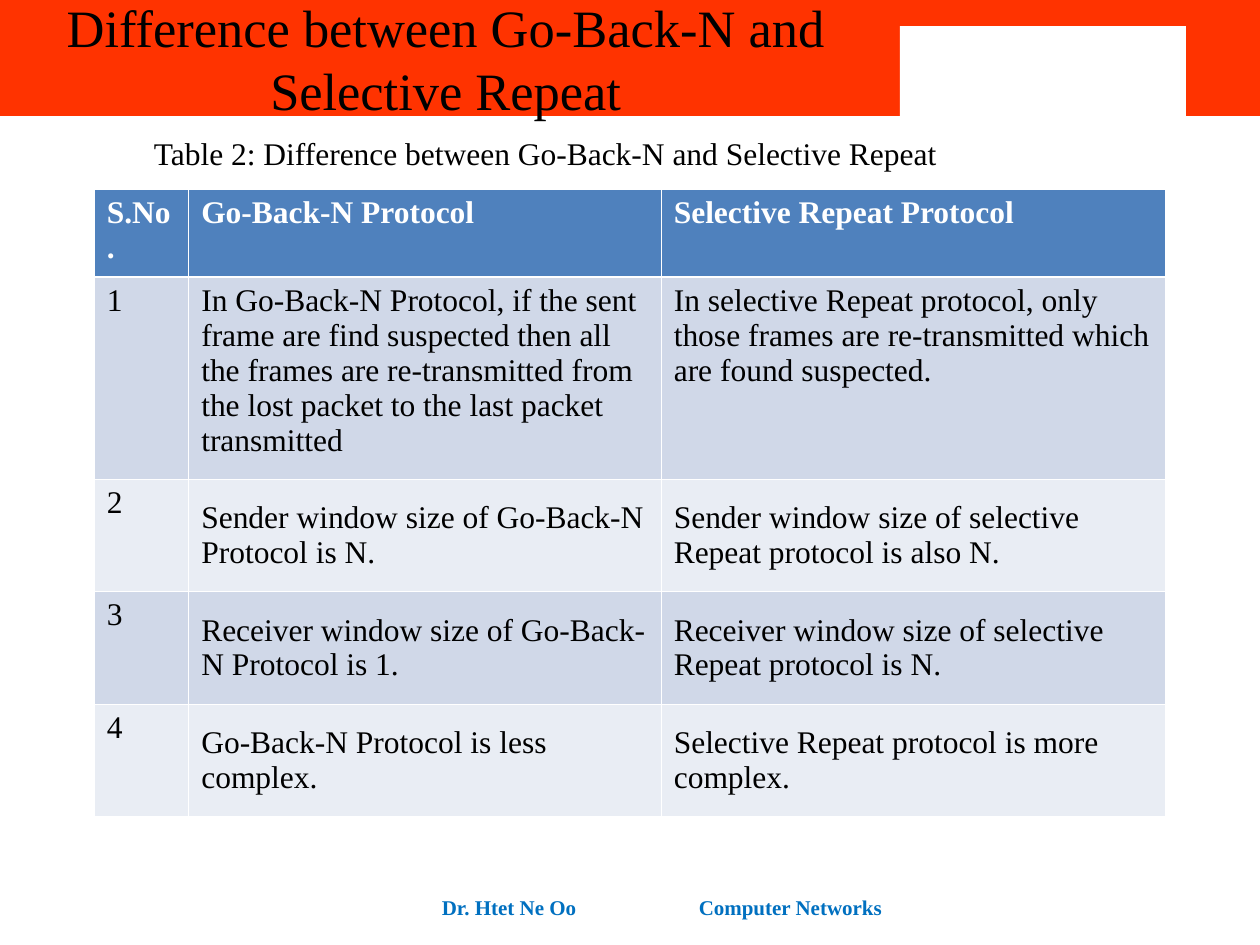
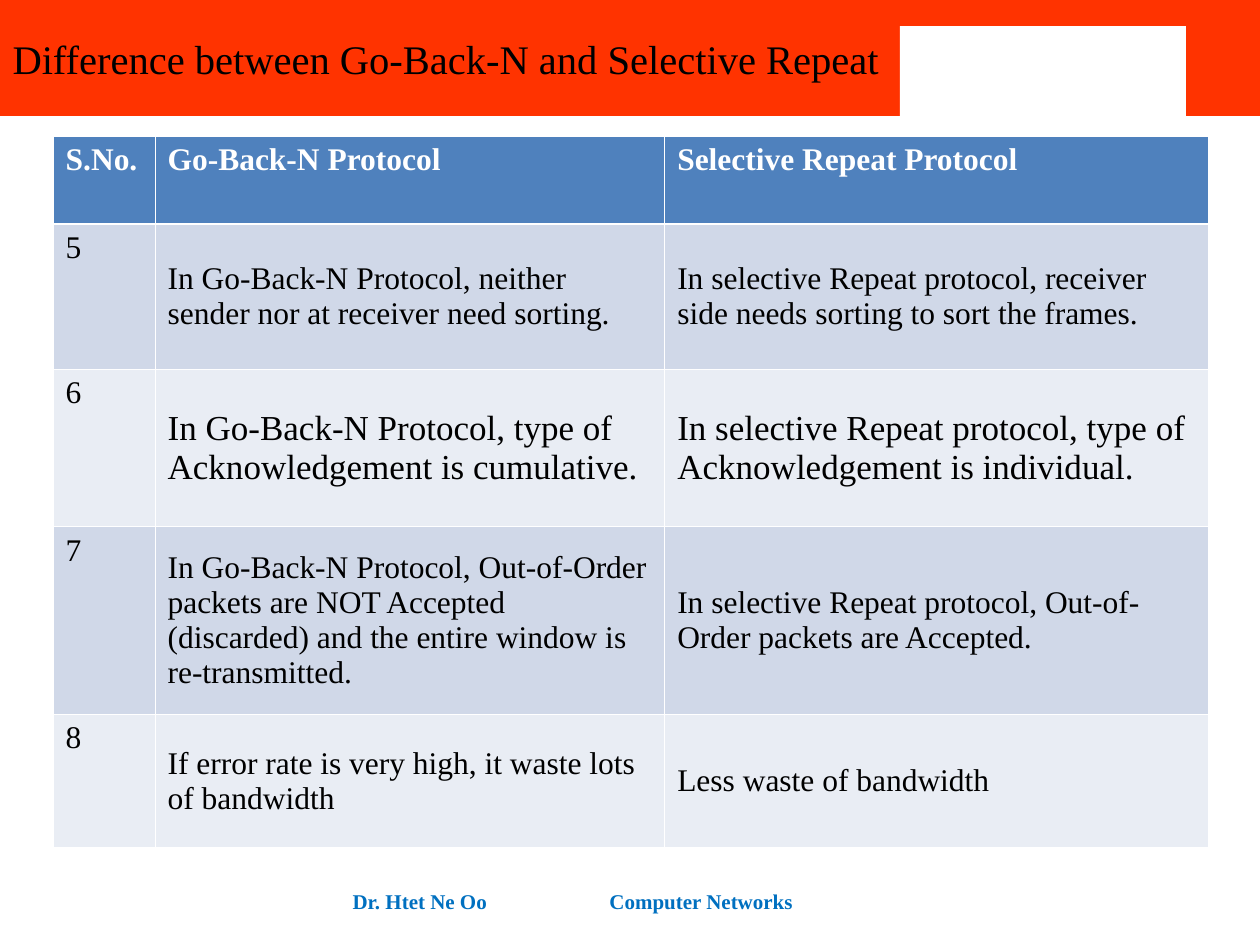
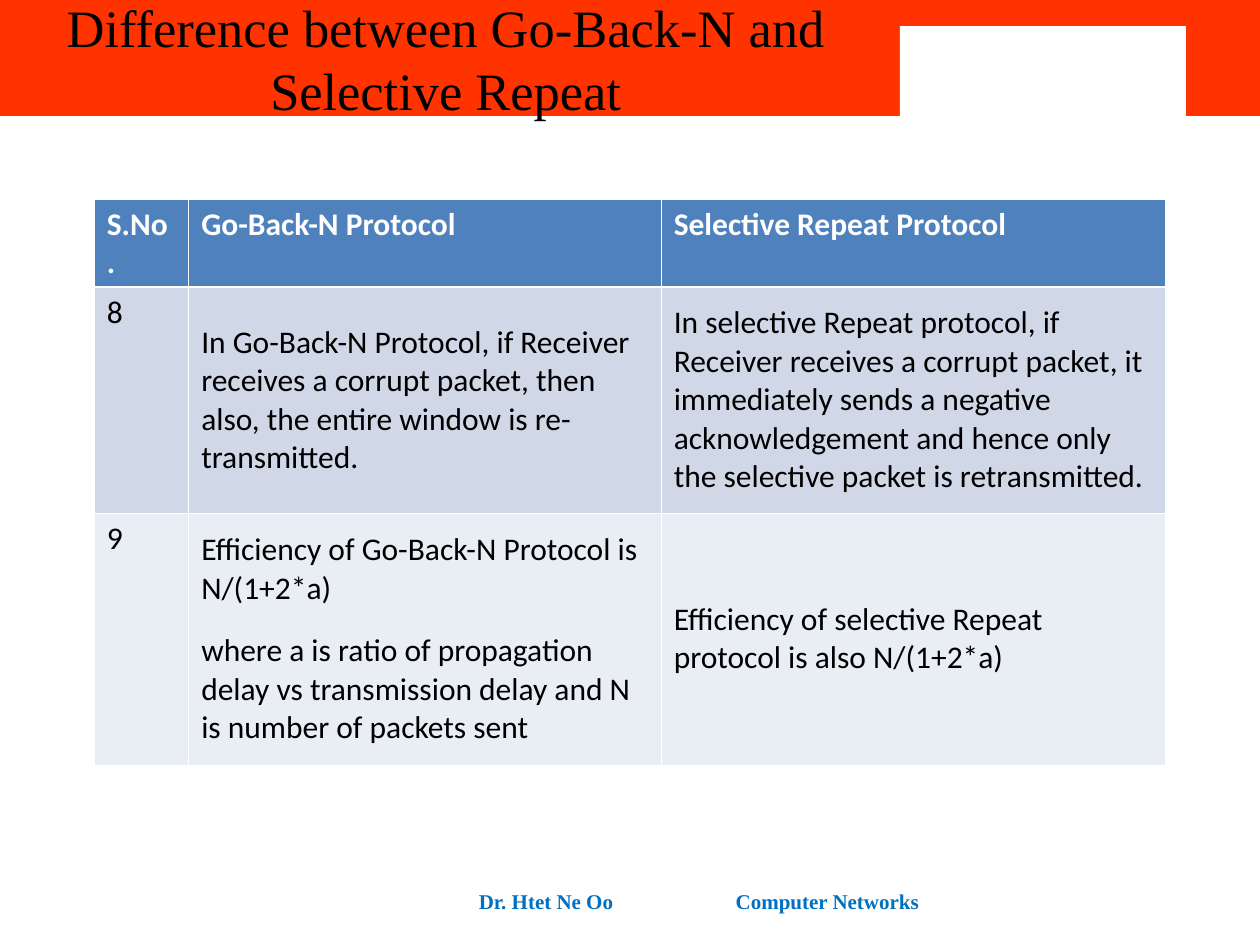
import dataclasses

import pptx
import pptx.dml.color
import pptx.enum.shapes
import pptx.enum.text
import pptx.oxml
import pptx.oxml.ns
import pptx.util

Cm = pptx.util.Cm
Pt = pptx.util.Pt
Color = pptx.dml.color.RGBColor.from_string
Align = pptx.enum.text.PP_ALIGN
Anchor = pptx.enum.text.MSO_ANCHOR


@dataclasses.dataclass(frozen=True)
class Theme:
    band: str = "FF3300"
    white: str = "FFFFFF"
    ink: str = "000000"
    footer: str = "0070C0"
    table_header: str = "4F81BD"
    row_odd: str = "D0D8E8"
    row_even: str = "E9EDF4"
    serif: str = "Times New Roman"
    sans: str = "Calibri"
    title_size: float = 30
    small_title_size: float = 23.2
    body_size: float = 18
    large_body_size: float = 20
    footer_size: float = 12
    paragraph_gap: float = 14
    thin_border: float = 0.45
    header_border: float = 1.47


THEME = Theme()


@dataclasses.dataclass(frozen=True)
class Box:
    left: float
    top: float
    width: float
    height: float = 0

    def lengths(self):
        return Cm(self.left), Cm(self.top), Cm(self.width), Cm(self.height)


@dataclasses.dataclass(frozen=True)
class Row:
    height: float
    number: str
    go_back_n: str
    selective_repeat: str
    size: float = THEME.body_size
    anchor: Anchor = Anchor.MIDDLE


BAND_BOX = Box(0, 0, 25.4, 2.34)
TITLE_BOX = Box(0, 0, 17.98, 2.34)
LOWERED_TITLE_BOX = Box(0, 0.1, 17.98, 2.34)
TITLE = "Difference between Go-Back-N and Selective Repeat"
HEADER = Row(1.78, "S.No.", "Go-Back-N Protocol", "Selective Repeat Protocol",
             anchor=Anchor.TOP)
COLUMN_SHARES = (3, 15, 16)

ROWS_1_TO_4 = (
    Row(4.06, "1",
        "In Go-Back-N Protocol, if the sent frame are find suspected then all the "
        "frames are re-transmitted from the lost packet to the last packet transmitted",
        "In selective Repeat protocol, only those frames are re-transmitted which "
        "are found suspected.", anchor=Anchor.TOP),
    Row(2.27, "2", "Sender window size of Go-Back-N Protocol is N.",
        "Sender window size of selective Repeat protocol is also N."),
    Row(2.27, "3", "Receiver window size of Go-Back-N Protocol is 1.",
        "Receiver window size of selective Repeat protocol is N."),
    Row(2.27, "4", "Go-Back-N Protocol is less complex.",
        "Selective Repeat protocol is more complex."),
)
ROWS_5_TO_8 = (
    Row(2.92, "5", "In Go-Back-N Protocol, neither sender nor at receiver need sorting.",
        "In selective Repeat protocol, receiver side needs sorting to sort the frames."),
    Row(3.18, "6", "In Go-Back-N Protocol, type of Acknowledgement is cumulative.",
        "In selective Repeat protocol, type of Acknowledgement is individual.",
        size=THEME.large_body_size),
    Row(3.78, "7",
        "In Go-Back-N Protocol, Out-of-Order packets are NOT Accepted (discarded) "
        "and the entire window is re-transmitted.",
        "In selective Repeat protocol, Out-of-Order packets are Accepted."),
    Row(2.69, "8", "If error rate is very high, it waste lots of bandwidth",
        "Less waste of bandwidth"),
)
ROWS_8_TO_9 = (
    Row(4.55, "8",
        "In Go-Back-N Protocol, if Receiver receives a corrupt packet, then also, "
        "the entire window is re-transmitted.",
        "In selective Repeat protocol, if Receiver receives a corrupt packet, it "
        "immediately sends a negative acknowledgement and hence only the selective "
        "packet is retransmitted."),
    Row(5.08, "9",
        "Efficiency of Go-Back-N Protocol is N/(1+2*a)\n"
        "where a is ratio of propagation delay vs transmission delay and N is "
        "number of packets sent",
        "Efficiency of selective Repeat protocol is also N/(1+2*a)"),
)


def set_font(paragraph, size, color, name=THEME.serif, bold=False):
    font = paragraph.font
    font.size, font.name, font.bold = Pt(size), name, bold
    font.color.rgb = Color(color)


def add_rectangle(slide, box, color):
    shape = slide.shapes.add_shape(
        pptx.enum.shapes.MSO_SHAPE.RECTANGLE, *box.lengths())
    shape.shadow.inherit = False
    shape.fill.solid()
    shape.fill.fore_color.rgb = Color(color)
    shape.line.fill.background()


def add_centered_text(slide, box, text, anchor=Anchor.MIDDLE):
    frame = slide.shapes.add_textbox(*box.lengths()).text_frame
    frame.word_wrap = True
    frame.vertical_anchor = anchor
    paragraph = frame.paragraphs[0]
    paragraph.text = text
    paragraph.alignment = Align.CENTER
    return paragraph


def add_band(slide, box):
    """Draw the title band with its white window near the right end."""
    add_rectangle(slide, box, THEME.band)
    add_rectangle(slide, Box(box.left + 17.07, box.top, 8.33, box.height), THEME.band)
    add_rectangle(slide, Box(box.left + 18.14, box.top + 0.53, 5.77, 1.9), THEME.white)


def add_title(slide, box, size=THEME.title_size, line_spacing=1.0):
    paragraph = add_centered_text(slide, box, TITLE)
    paragraph.line_spacing = line_spacing
    set_font(paragraph, size, THEME.ink)


def add_caption(slide, box, text):
    set_font(add_centered_text(slide, box, text, Anchor.TOP), THEME.body_size, THEME.ink)


def add_footer(slide, box):
    paragraph = add_centered_text(slide, box, "Dr. Htet Ne Oo\tComputer Networks")
    paragraph._p.get_or_add_pPr().append(pptx.oxml.parse_xml(
        f'<a:tabLst {pptx.oxml.ns.nsdecls("a")}>'
        f'<a:tab pos="{Cm(5.18)}" algn="l"/></a:tabLst>'))
    set_font(paragraph, THEME.footer_size, THEME.footer, bold=True)


def add_borders(cell, row_index):
    """Rule all four sides, with a heavier line under the header row."""
    heavy_sides = {0: "B", 1: "T"}.get(row_index, "")
    for side in "LRTB":
        width = THEME.header_border if side in heavy_sides else THEME.thin_border
        cell._tc.get_or_add_tcPr().append(pptx.oxml.parse_xml(
            f'<a:ln{side} {pptx.oxml.ns.nsdecls("a")} w="{Pt(width)}"><a:solidFill>'
            f'<a:srgbClr val="{THEME.white}"/></a:solidFill></a:ln{side}>'))


def fill_cell(cell, text, row, row_index, font_name, anchor, size):
    is_header = row_index == 0
    add_borders(cell, row_index)
    cell.fill.solid()
    cell.fill.fore_color.rgb = Color(
        THEME.table_header if is_header
        else THEME.row_odd if row_index % 2 else THEME.row_even)
    cell.vertical_anchor = anchor
    cell.text = text
    for index, paragraph in enumerate(cell.text_frame.paragraphs):
        if index:
            paragraph.space_before = Pt(THEME.paragraph_gap)
        set_font(paragraph, size, THEME.white if is_header else THEME.ink,
                 font_name, is_header)


def add_comparison_table(slide, box, rows, font_name=THEME.serif):
    rows = (HEADER, *rows)
    height = sum(row.height for row in rows)
    table = slide.shapes.add_table(
        len(rows), len(COLUMN_SHARES),
        *Box(box.left, box.top, box.width, height).lengths()).table
    table.first_row = table.horz_banding = False
    for column, share in zip(table.columns, COLUMN_SHARES):
        column.width = Cm(box.width * share / sum(COLUMN_SHARES))
    for row_index, row in enumerate(rows):
        table.rows[row_index].height = Cm(row.height)
        cells = table.rows[row_index].cells
        fill_cell(cells[0], row.number, row, row_index, font_name,
                  Anchor.TOP, THEME.body_size)
        for cell, text in zip((cells[1], cells[2]), (row.go_back_n, row.selective_repeat)):
            fill_cell(cell, text, row, row_index, font_name, row.anchor, row.size)


def add_comparison_slide(presentation, table_box, rows, footer_box, font_name=THEME.serif):
    """Add a slide with band, footer and table; the title is added by the caller."""
    slide = presentation.slides.add_slide(presentation.slide_layouts[6])
    add_band(slide, BAND_BOX)
    add_footer(slide, footer_box)
    add_comparison_table(slide, table_box, rows, font_name)
    return slide


def main():
    presentation = pptx.Presentation()
    presentation.slide_width, presentation.slide_height = Cm(25.4), Cm(19.05)

    slide = add_comparison_slide(presentation, Box(1.9, 3.81, 21.59), ROWS_1_TO_4,
                                 Box(6.78, 17.78, 13.13, 1.02))
    add_title(slide, TITLE_BOX)
    add_caption(slide, Box(2.11, 2.57, 17.78, 1.02), f"Table 2: {TITLE}")

    slide = add_comparison_slide(presentation, Box(1.07, 2.74, 23.29), ROWS_5_TO_8,
                                 Box(5.51, 17.65, 12.07, 1.02))
    add_title(slide, LOWERED_TITLE_BOX, THEME.small_title_size, line_spacing=0.8)

    slide = add_comparison_slide(presentation, Box(1.9, 4.01, 21.59), ROWS_8_TO_9,
                                 Box(8.69, 17.65, 10.8, 1.02), THEME.sans)
    add_title(slide, TITLE_BOX)

    presentation.save("out.pptx")


if __name__ == "__main__":
    main()
